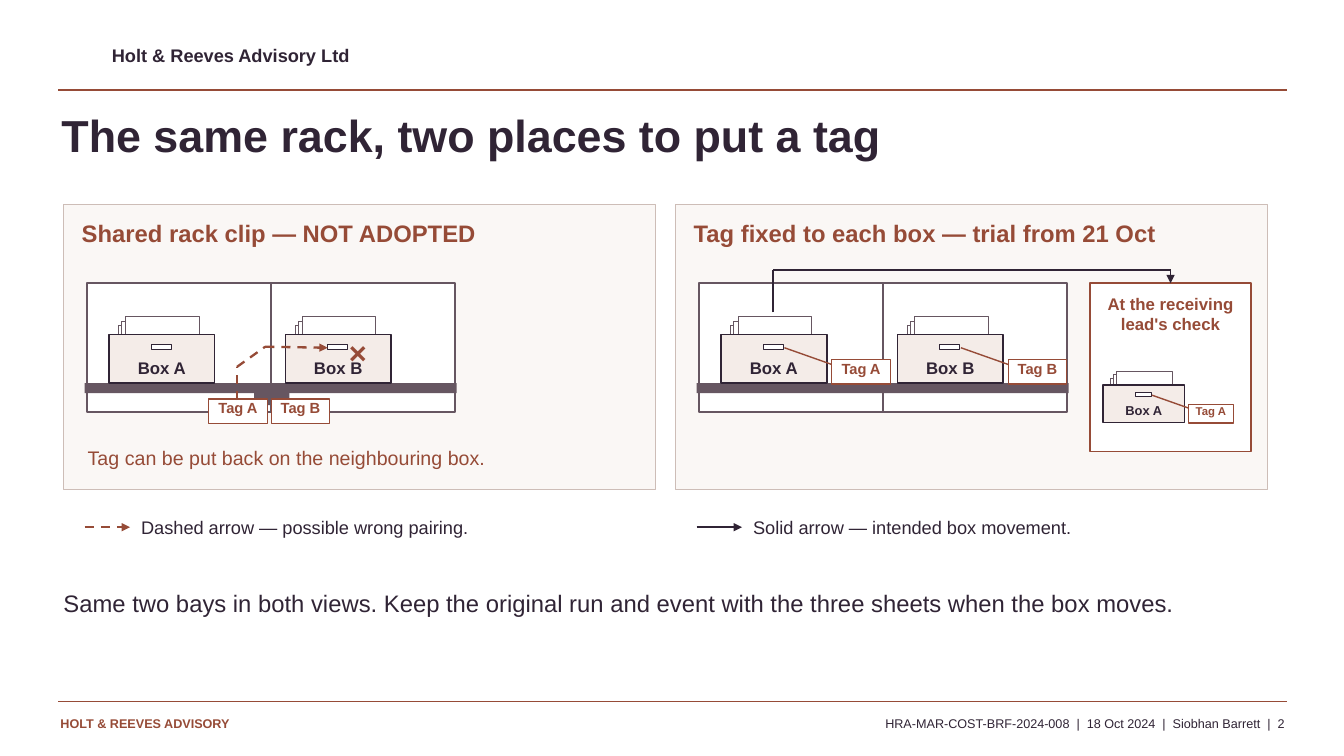
from lxml import etree
from pptx import Presentation
from pptx.dml.color import RGBColor
from pptx.enum.dml import MSO_LINE
from pptx.enum.shapes import MSO_CONNECTOR, MSO_SHAPE
from pptx.enum.text import MSO_ANCHOR, PP_ALIGN
from pptx.oxml.ns import qn
from pptx.util import Inches, Pt

RECTANGLE = MSO_SHAPE.RECTANGLE
STRAIGHT = MSO_CONNECTOR.STRAIGHT
DASH = MSO_LINE.DASH
TOP = MSO_ANCHOR.TOP
LEFT, CENTER, RIGHT = PP_ALIGN.LEFT, PP_ALIGN.CENTER, PP_ALIGN.RIGHT

FONT = "Arial"
COLORS = {
    "ink": "302435", "rust": "964B37", "steel": "665661", "white": "FFFFFF",
    "panel": "FAF7F5", "panel edge": "CDBDB7", "carton": "F4ECE8",
}
COLORS = {name: RGBColor.from_string(value) for name, value in COLORS.items()}

# Grid: two panel columns, with one rack in each
PANEL_LEFT, PANEL_TOP, PANEL_WIDTH, PANEL_HEIGHT = 0.63, 2.03, 5.87, 2.83
COLUMN_STEP = 6.07
RACK_INSET, RACK_TOP, RACK_WIDTH, RACK_HEIGHT = 0.23, 2.81, 3.65, 1.28
BOX_INSET, BOX_STEP, BOX_TOP = 0.45, 1.75, 3.32
BOX_WIDTH, BOX_HEIGHT = 1.05, 0.48
TAG_WIDTH, TAG_HEIGHT = 0.58, 0.24
RULE_LEFT, RULE_RIGHT = 0.58, 12.76

presentation = Presentation()
presentation.slide_width = Inches(13.33)
presentation.slide_height = Inches(7.5)
slide = presentation.slides.add_slide(presentation.slide_layouts[5])
shapes = slide.shapes


def add_block(left, top, width, height, fill=None, edge=None, weight=1, text="",
              size=12, color="rust", bold=True, align=LEFT):
    """Add a filled rectangle, or a text box when there is no fill."""
    place = [Inches(length) for length in (left, top, width, height)]
    if fill:
        shape = shapes.add_shape(RECTANGLE, *place)
        shape.shadow.inherit = False
        shape.fill.solid()
        shape.fill.fore_color.rgb = COLORS[fill]
        if edge:
            shape.line.color.rgb = COLORS[edge]
            shape.line.width = Pt(weight)
        else:
            shape.line.fill.background()
    else:
        shape = shapes.add_textbox(*place)
    if text:
        frame = shape.text_frame
        frame.word_wrap = True
        frame.vertical_anchor = TOP
        frame.margin_left = frame.margin_right = frame.margin_top = frame.margin_bottom = 0
        paragraph = frame.paragraphs[0]
        paragraph.text = text
        paragraph.alignment = align
        font = paragraph.font
        font.name, font.size, font.bold = FONT, Pt(size), bold
        font.color.rgb = COLORS[color]


def add_path(points, color, weight, dashed=False, arrow=False):
    """Join the points with straight lines, with an arrowhead at the end if asked."""
    for start, end in zip(points, points[1:]):
        connector = shapes.add_connector(STRAIGHT, *[Inches(length) for length in start + end])
        connector.line.color.rgb = COLORS[color]
        connector.line.width = Pt(weight)
        if dashed:
            connector.line.dash_style = DASH
        if arrow and end == points[-1]:
            etree.SubElement(connector.line._get_or_add_ln(), qn("a:tailEnd"), type="triangle")
        etree.SubElement(connector._element.spPr, qn("a:effectLst"))


# Header and footer
add_block(1.11, 0.44, 6, 0.27, text="Holt & Reeves Advisory Ltd", size=13, color="ink")
for rule_y, rule_weight in ((0.89, 1.6), (6.96, 1)):
    add_path([(RULE_LEFT, rule_y), (RULE_RIGHT, rule_y)], "rust", rule_weight)
add_block(0.6, 7.1, 3.4, 0.25, text="HOLT & REEVES ADVISORY", size=9)
add_block(4.12, 7.1, 8.62, 0.24, size=9, color="ink", bold=False, align=RIGHT,
          text="HRA-MAR-COST-BRF-2024-008  |  18 Oct 2024  |  Siobhan Barrett  |  2")

# Title
title = shapes.title
title.left, title.top, title.width, title.height = (
    Inches(length) for length in (0.61, 1.07, 12, 0.78))
frame = title.text_frame
frame.text = "The same rack, two places to put a tag"
frame.vertical_anchor = TOP
frame.margin_left = frame.margin_right = frame.margin_top = frame.margin_bottom = 0
paragraph = frame.paragraphs[0]
paragraph.alignment = LEFT
paragraph.font.name, paragraph.font.size, paragraph.font.bold = FONT, Pt(32), True
paragraph.font.color.rgb = COLORS["ink"]

# Panels, racks and the legend line under each
panels = [
    ("Shared rack clip — NOT ADOPTED", "Dashed arrow — possible wrong pairing.", "rust", 1.65, True),
    ("Tag fixed to each box — trial from 21 Oct", "Solid arrow — intended box movement.", "ink", 1.3, False),
]
cartons = []
for column, (heading, legend, color, weight, dashed) in enumerate(panels):
    left = PANEL_LEFT + column * COLUMN_STEP
    add_block(left, PANEL_TOP, PANEL_WIDTH, PANEL_HEIGHT, "panel", "panel edge")
    add_block(left + 0.18, 2.17, 5.49, 0.3, text=heading, size=17)
    rack_left = left + RACK_INSET
    middle = rack_left + RACK_WIDTH / 2
    add_block(rack_left, RACK_TOP, RACK_WIDTH, RACK_HEIGHT, "white", "steel", 1.55)
    add_path([(middle, RACK_TOP), (middle, RACK_TOP + RACK_HEIGHT)], "steel", 1.3)
    add_block(rack_left - 0.02, BOX_TOP + BOX_HEIGHT, RACK_WIDTH + 0.04, 0.1, "steel")
    for bay, letter in enumerate("AB"):
        cartons.append((left + BOX_INSET + bay * BOX_STEP, BOX_TOP, 1, letter, column == 1))
    add_path([(left + 0.21, 5.23), (left + 0.66, 5.23)], color, weight, dashed, True)
    add_block(left + 0.77, 5.12, 4.84, 0.3, text=legend, size=13, color="ink", bold=False)

# Card for the receiving check, with a smaller box
add_block(10.81, RACK_TOP, 1.6, 1.67, "white", "rust")
add_block(10.88, 2.91, 1.46, 0.5, text="At the receiving lead's check", align=CENTER)
cartons.append((10.94, 3.82, 0.77, "A", True))

# Boxes: three sheets, front, slot, label and, where fixed, a tag
for left, top, scale, letter, tagged in cartons:
    for sheet_x, sheet_y in ((0.1, 0.09), (0.13, 0.13), (0.17, 0.18)):
        add_block(left + sheet_x * scale, top - sheet_y * scale, 0.73 * scale, 0.18 * scale,
                  "white", "steel", 0.72)
    add_block(left, top, BOX_WIDTH * scale, BOX_HEIGHT * scale, "carton", "ink", 1.1)
    add_block(left + 0.42 * scale, top + 0.1 * scale, 0.2 * scale, 0.05 * scale,
              "white", "ink", 0.75)
    add_block(left, top + 0.23 * scale, BOX_WIDTH * scale, 0.22 * scale,
              text=f"Box {letter}", size=12 * scale, color="ink", align=CENTER)
    if tagged:
        add_path([(left + 0.63 * scale, top + 0.13 * scale),
                  (left + 1.14 * scale, top + 0.31 * scale)], "rust", 1)
        add_block(left + 1.1 * scale, top + 0.25 * scale, TAG_WIDTH * scale, TAG_HEIGHT * scale,
                  "white", "rust", 0.9, f"Tag {letter}", 10.5 * scale, align=CENTER)

# Shared clip with both tags, and the wrong pairing
add_block(2.52, 3.82, 0.35, 0.2, "steel")
for position, letter in enumerate("AB"):
    add_block(2.07 + position * 0.62, 3.96, TAG_WIDTH, TAG_HEIGHT, "white", "rust", 0.9,
              f"Tag {letter}", 10.5, align=CENTER)
add_path([(2.35, 3.97), (2.35, 3.64), (2.63, 3.44), (3.25, 3.45)], "rust", 1.65, True, True)
add_block(3.46, 3.31, 0.24, 0.3, text="×", size=22)
add_block(0.87, 4.42, 5.4, 0.3, text="Tag can be put back on the neighbouring box.",
          size=14, bold=False)

# Intended movement of box A to the check
add_path([(7.67, 3.1), (7.67, 2.68), (11.61, 2.68), (11.61, RACK_TOP)], "ink", 1.3, arrow=True)

# Closing statement
add_block(PANEL_LEFT, 5.84, 11.94, 0.8, size=17, color="ink", bold=False,
          text="Same two bays in both views. Keep the original run and event "
               "with the three sheets when the box moves.")

presentation.save("out.pptx")
